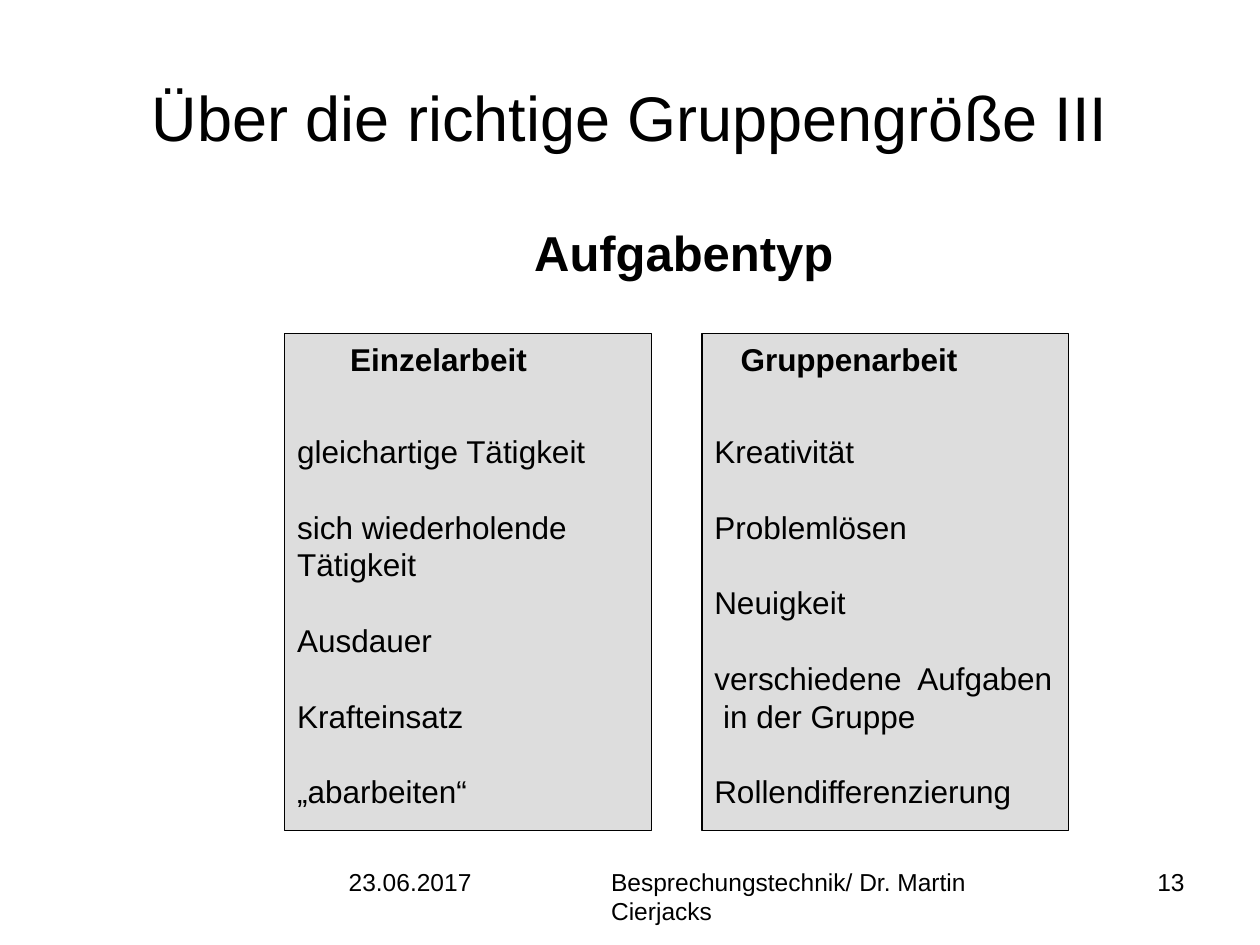
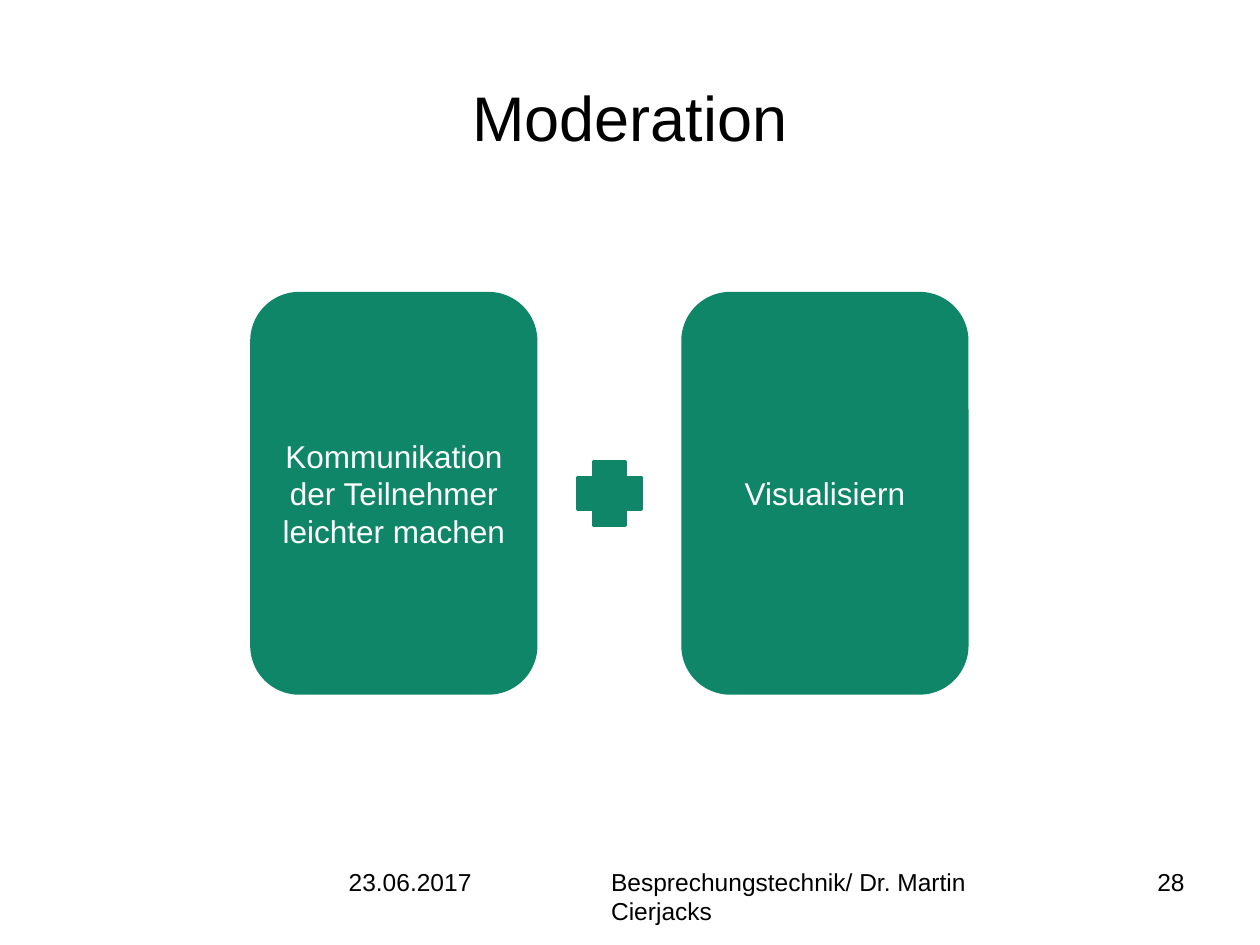
import dataclasses

import pptx
import pptx.dml.color
import pptx.enum.shapes
import pptx.enum.text
import pptx.util

Cm, Pt = pptx.util.Cm, pptx.util.Pt
SHAPE = pptx.enum.shapes.MSO_SHAPE
ALIGN = pptx.enum.text.PP_ALIGN
ANCHOR = pptx.enum.text.MSO_ANCHOR

# Content
DATE = "23.06.2017"
FOOTER = "Besprechungstechnik/ Dr. Martin Cierjacks"

GROUP_SIZE = {
    "title": "Über die richtige Gruppengröße III",
    "number": "13",
    "heading": "Aufgabentyp",
    # heading, heading indent in cm, items
    "columns": [
        ("Einzelarbeit", 1.07,
         ["gleichartige Tätigkeit", "sich wiederholende\vTätigkeit",
          "Ausdauer", "Krafteinsatz", "„abarbeiten“"]),
        ("Gruppenarbeit", 0.53,
         ["Kreativität", "Problemlösen", "Neuigkeit",
          "verschiedene  Aufgaben\v in der Gruppe",
          "Rollendifferenzierung"]),
    ],
}

MODERATION = {
    "title": "Moderation",
    "number": "28",
    "cards": ["Kommunikation der Teilnehmer leichter machen", "Visualisiern"],
}


@dataclasses.dataclass(frozen=True)
class Theme:
    font: str = "Arial"
    black: str = "000000"
    white: str = "FFFFFF"
    grey: str = "DDDDDD"
    green: str = "0F8668"
    title: int = 36
    heading: int = 28
    body: int = 18
    footer: int = 14


THEME = Theme()


def rgb(value):
    return pptx.dml.color.RGBColor.from_string(value)


def write(shape, lines, size, color=THEME.black, bold=False,
          align=ALIGN.LEFT, anchor=ANCHOR.TOP, wrap=True, gap=0):
    """Fill a shape with paragraphs, gap points apart."""
    tf = shape.text_frame
    tf.word_wrap = wrap
    tf.vertical_anchor = anchor
    for i, line in enumerate(lines):
        p = tf.paragraphs[0] if i == 0 else tf.add_paragraph()
        p.text = line
        p.alignment = align
        if i:
            p.space_before = Pt(gap)
        for r in p.runs:
            r.font.name = THEME.font
            r.font.size = Pt(size)
            r.font.bold = bold
            r.font.color.rgb = rgb(color)
    return tf


def add_text(shapes, box, text, size, **style):
    sp = shapes.add_textbox(*map(Cm, box))
    write(sp, [text], size, **style)


def add_block(shapes, kind, box, fill, line, width):
    sp = shapes.add_shape(kind, *map(Cm, box))
    sp.shadow.inherit = False
    sp.fill.solid()
    sp.fill.fore_color.rgb = rgb(fill)
    sp.line.color.rgb = rgb(line)
    sp.line.width = Pt(width)
    return sp


def new_slide(prs, content):
    """Add a slide with the shared title and footer line."""
    s = prs.slides.add_slide(prs.slide_layouts[5])
    title = s.shapes.title
    title.left, title.top, title.width, title.height = map(
        Cm, (1.27, 0.76, 22.86, 3.18))
    write(title, [content["title"]], THEME.title,
          align=ALIGN.CENTER, anchor=ANCHOR.MIDDLE)
    for left, width, text, align in [
            (6.78, 5.08, DATE, ALIGN.LEFT),
            (12.07, 9.09, FOOTER, ALIGN.LEFT),
            (18.21, 5.92, content["number"], ALIGN.RIGHT)]:
        add_text(s.shapes, (left, 17.35, width, 1.32), text, THEME.footer,
                 align=align)
    return s


def build_group_size(prs):
    content = GROUP_SIZE
    s = new_slide(prs, content)
    add_text(s.shapes, (10.52, 4.37, 6.55, 1.45), content["heading"],
             THEME.heading, bold=True, wrap=False)

    # Two equal columns
    left, top, width, height, step = 5.74, 6.73, 7.39, 10.01, 8.41
    for i, (heading, indent, items) in enumerate(content["columns"]):
        x = left + i * step
        column = s.shapes.add_group_shape().shapes
        sp = add_block(column, SHAPE.RECTANGLE, (x, top, width, height),
                       THEME.grey, THEME.black, 0.75)
        tf = write(sp, items, THEME.body, anchor=ANCHOR.BOTTOM, gap=21.6)
        tf.margin_right = 0
        tf.margin_bottom = Cm(0.41)
        add_text(column, (x + indent, top, width - 2 * indent, 1.27), heading,
                 THEME.body, bold=True, wrap=False)


def build_moderation(prs):
    content = MODERATION
    s = new_slide(prs, content)

    # Cards with a plus sign midway between them
    left, top, width, height, step, plus = 5.08, 5.92, 5.72, 8.05, 8.69, 1.27
    for i, text in enumerate(content["cards"]):
        sp = add_block(s.shapes, SHAPE.ROUNDED_RECTANGLE,
                       (left + i * step, top, width, height),
                       THEME.green, THEME.green, 2)
        write(sp, [text], THEME.body, color=THEME.white,
              align=ALIGN.CENTER, anchor=ANCHOR.MIDDLE)
    plus_box = (left + (width + step - plus) / 2,
                top + (height - plus) / 2, plus, plus)
    add_block(s.shapes, SHAPE.CROSS, plus_box, THEME.green, THEME.green, 2)


def main():
    prs = pptx.Presentation()
    prs.slide_width, prs.slide_height = Cm(25.4), Cm(19.05)
    build_group_size(prs)
    build_moderation(prs)
    prs.save("out.pptx")


if __name__ == "__main__":
    main()
